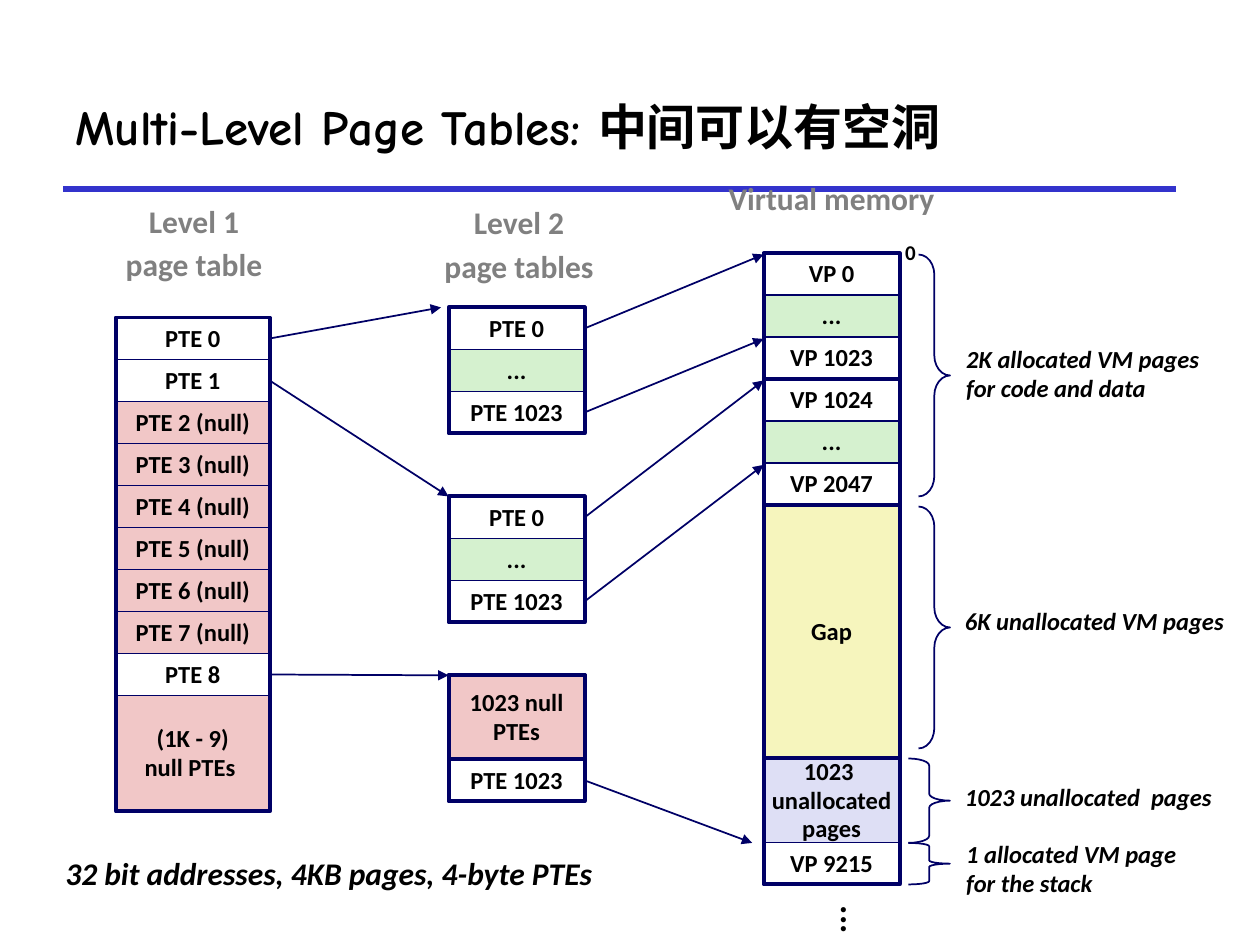
"""Build a slide showing a two-level page table that maps a sparse address space."""
from lxml.etree import SubElement
from pptx import Presentation
from pptx.dml.color import RGBColor
from pptx.enum.shapes import MSO_CONNECTOR as Connector, MSO_SHAPE as Shape
from pptx.enum.text import MSO_ANCHOR as Anchor, PP_ALIGN as Align
from pptx.oxml.ns import qn
from pptx.util import Inches, Pt

NAVY = RGBColor(0x00, 0x00, 0x66)
BLUE = RGBColor(0x33, 0x33, 0xCC)
BLACK = RGBColor(0x00, 0x00, 0x00)
GRAY = RGBColor(0x80, 0x80, 0x80)
WHITE = RGBColor(0xFF, 0xFF, 0xFF)
GREEN = RGBColor(0xD5, 0xF1, 0xCF)
PINK = RGBColor(0xF1, 0xC7, 0xC7)
YELLOW = RGBColor(0xF6, 0xF5, 0xBD)
LAVENDER = RGBColor(0xDE, 0xDF, 0xF5)

ROW = 1 / 3
THIN, THICK = 1, 2.25
LEVEL_1 = (0.92, 1.22)
LEVEL_2 = (3.56, 1.08)
MEMORY = (6.06, 1.08)


def page_rows(kind, first, last):
    return [(f"{kind} {first}", None, 1), ("...", GREEN, 1), (f"{kind} {last}", None, 1)]


NULL_ENTRIES = [(f"PTE {number} (null)", PINK, 1) for number in range(2, 8)]
BLOCKS = {
    "directory": (LEVEL_1, 2.52, [
        ("PTE 0", None, 1), ("PTE 1", None, 1), *NULL_ENTRIES,
        ("PTE 8", None, 1), ("(1K - 9)\nnull PTEs ", PINK, 2.76)]),
    "table 0": (LEVEL_2, 2.44, page_rows("PTE", 0, 1023)),
    "table 1": (LEVEL_2, 3.94, page_rows("PTE", 0, 1023)),
    "table 8": (LEVEL_2, 5.36, [("1023 null\nPTEs", PINK, 2), ("PTE 1023", None, 1)]),
    "code": (MEMORY, 2.01, page_rows("VP", 0, 1023)),
    "data": (MEMORY, 3.01, page_rows("VP", 1024, 2047)),
    "gap": (MEMORY, 4.01, [("Gap", YELLOW, 6.03)]),
    "stack": (MEMORY, 6.02, [
        ("1023 \nunallocated\npages", LAVENDER, 2), ("VP 9215", None, 1)]),
}
THICK_CELLS = {("table 8", 0)}
ARROWS = [
    ("table 0", 0, 6.06, 2.02), ("table 0", 2, 6.06, 2.69),
    ("table 1", 0, 6.06, 3.02), ("table 1", 2, 6.06, 3.69),
    ("table 8", 1, 5.97, 6.69),
    ("directory", 0, 3.5, 2.44), ("directory", 1, 3.56, 3.94), ("directory", 8, 3.56, 5.36),
]
HEADINGS = [
    ("Level 1\npage table", 0.88, 1.59, 1.32, 0.72),
    ("Level 2\npage tables", 3.41, 1.6, 1.42, 0.72),
    ("Virtual memory", 5.67, 1.41, 1.86, 0.36),
]
BRACES = [
    (7.29, 2.02, 0.25, 1.92, 0.64), (7.29, 4.02, 0.25, 1.92, 0.64),
    (7.21, 6.02, 0.33, 0.67, 0.17), (7.21, 6.69, 0.33, 0.33, 0.08),
]
NOTES = [
    ("2K allocated VM pages\nfor code and data", 7.57, 2.69, 2.06, 0.56),
    ("6K unallocated VM pages", 7.56, 4.77, 2.27, 0.33),
    ("1023 unallocated  pages", 7.56, 6.17, 2.17, 0.33),
    ("1 allocated VM page\nfor the stack", 7.57, 6.62, 1.88, 0.56),
]


def write(shape, text, size=14, color=BLACK, font="Calibri", italic=False,
          align=Align.CENTER, anchor=Anchor.MIDDLE, spacing=0.98, gap=0):
    frame = shape.text_frame
    frame.word_wrap = False
    frame.vertical_anchor = anchor
    for index, line in enumerate(text.split("\n")):
        paragraph = frame.add_paragraph() if index else frame.paragraphs[0]
        paragraph.alignment = align
        paragraph.line_spacing = spacing
        paragraph.space_before = Pt(gap if index else 0)
        run = paragraph.add_run()
        run.text = line
        run.font.name = font
        run.font.size = Pt(size)
        run.font.bold = True
        run.font.italic = italic
        run.font.color.rgb = color


def add_text(slide, text, left, top, width, height, **style):
    box = slide.shapes.add_textbox(Inches(left), Inches(top), Inches(width), Inches(height))
    write(box, text, **style)
    return box


def add_outline(slide, kind, left, top, width, height, weight, fill=None, line=NAVY):
    shape = slide.shapes.add_shape(
        kind, Inches(left), Inches(top), Inches(width), Inches(height))
    shape.shadow.inherit = False
    if fill is None:
        shape.fill.background()
    else:
        shape.fill.solid()
        shape.fill.fore_color.rgb = fill
    shape.line.color.rgb = line
    shape.line.width = Pt(weight)
    return shape


def add_block(slide, name):
    (left, width), top, rows = BLOCKS[name]
    cells, y = [], top
    for index, (text, fill, units) in enumerate(rows):
        weight = THICK if (name, index) in THICK_CELLS else THIN
        line = LAVENDER if fill == LAVENDER else NAVY
        cell = add_outline(slide, Shape.RECTANGLE, left, y, width, units * ROW, weight, fill, line)
        write(cell, text)
        cells.append(cell)
        y += units * ROW
    add_outline(slide, Shape.RECTANGLE, left, top, width, y - top, THICK)
    return cells


def add_line(slide, x1, y1, x2, y2, color, weight):
    line = slide.shapes.add_connector(
        Connector.STRAIGHT, Inches(x1), Inches(y1), Inches(x2), Inches(y2))
    line.line.color.rgb = color
    line.line.width = Pt(weight)
    SubElement(line._element.spPr, qn("a:effectLst"))
    return line


def main():
    presentation = Presentation()
    presentation.slide_width, presentation.slide_height = Inches(10), Inches(7.5)
    slide = presentation.slides.add_slide(presentation.slide_layouts[6])

    add_line(slide, 0.5, 1.5, 9.33, 1.5, BLUE, 3)
    add_text(slide, "Multi-Level Page Tables: 中间可以有空洞", 0.5, 0.5, 8.83, 1,
             size=28, font="Comic Neue", align=Align.LEFT, spacing=1.0)
    for text, *place in HEADINGS:
        add_text(slide, text, *place, size=18, color=GRAY, anchor=Anchor.TOP,
                 spacing=0.88, gap=6)

    cells = {name: add_block(slide, name) for name in BLOCKS}
    for name, index, x, y in ARROWS:
        arrow = add_line(slide, 0, 0, x, y, NAVY, THIN)
        arrow.begin_connect(cells[name][index], 3)
        SubElement(arrow.line._get_or_add_ln(), qn("a:tailEnd"), type="triangle")

    for *place, curve in BRACES:
        brace = add_outline(slide, Shape.RIGHT_BRACE, *place, THIN)
        brace.adjustments[0] = curve
    for text, *place in NOTES:
        add_text(slide, text, *place, italic=True, align=Align.LEFT)

    add_text(slide, "0", 7.08, 1.86, 0.29, 0.3, size=12)
    add_text(slide, "32 bit addresses, 4KB pages, 4-byte PTEs", 0.42, 6.73, 4.49, 0.4,
             size=18, italic=True, align=Align.LEFT, anchor=Anchor.TOP, spacing=1.0)
    dots = add_text(slide, "...", 6.41, 7.09, 0.55, 0.37, size=20,
                    align=Align.LEFT, anchor=Anchor.TOP, spacing=0.88)
    dots.text_frame._txBody.bodyPr.set("vert", "eaVert")
    presentation.save("out.pptx")


if __name__ == "__main__":
    main()
